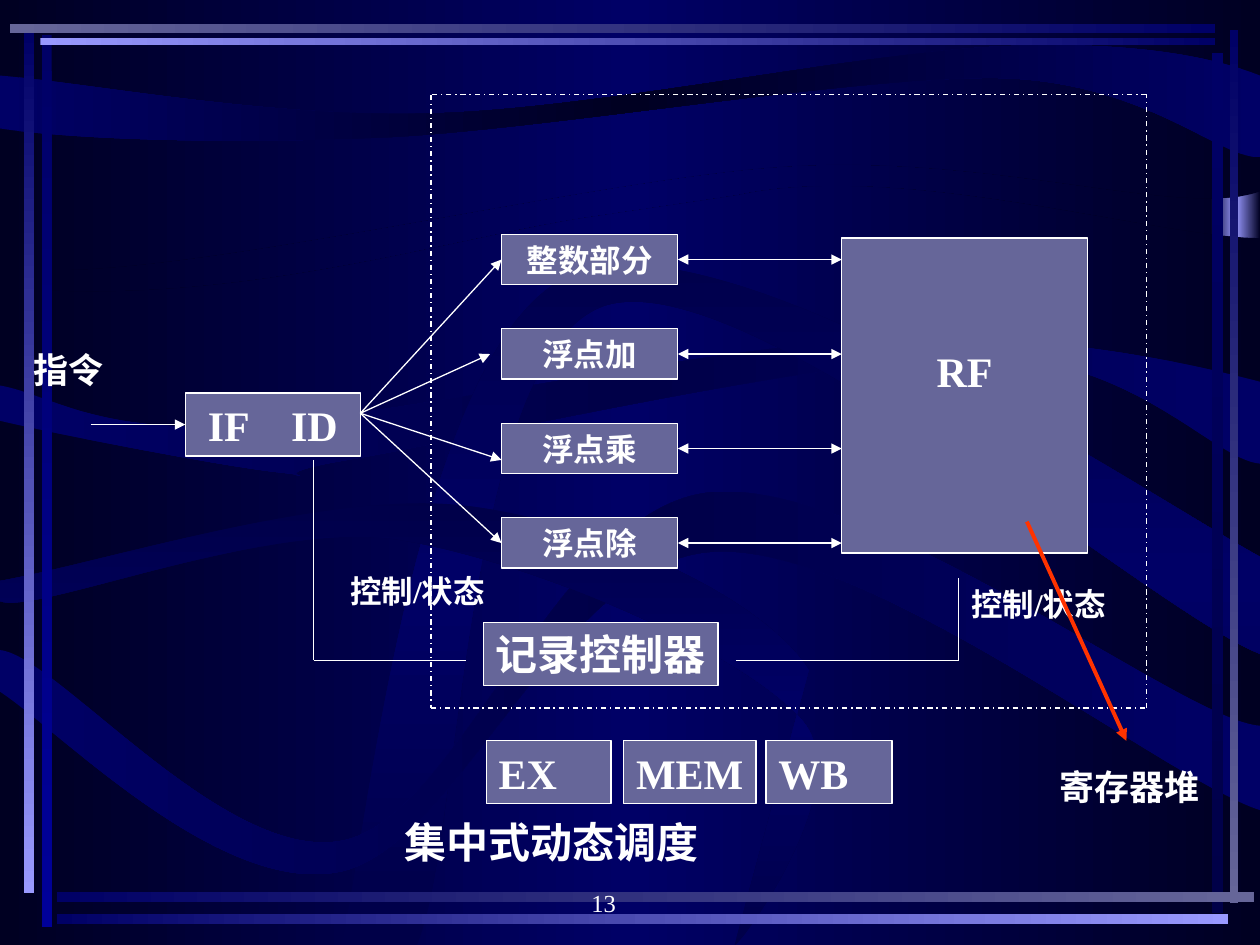
from lxml import etree
from pptx import Presentation
from pptx.dml.color import RGBColor
from pptx.enum.dml import MSO_LINE
from pptx.enum.shapes import MSO_CONNECTOR, MSO_SHAPE
from pptx.enum.text import MSO_ANCHOR, PP_ALIGN
from pptx.oxml.ns import qn
from pptx.util import Inches, Pt

WHITE = RGBColor(0xFF, 0xFF, 0xFF)
SLATE = RGBColor(0x66, 0x66, 0x99)
LILAC = RGBColor(0x99, 0x99, 0xFF)
RED = RGBColor(0xFF, 0x33, 0x00)
MIDNIGHT = RGBColor(0x00, 0x00, 0x22)
INDIGO = RGBColor(0x00, 0x00, 0x48)
NAVY = RGBColor(0x00, 0x00, 0x66)
BLUE = RGBColor(0x00, 0x00, 0x99)
FONT = "Times New Roman"

LEFT, RIGHT = 1, 3
ACROSS, DOWN = 0, 270

GLOW = (MIDNIGHT, NAVY, MIDNIGHT)
RIBBON = (NAVY, INDIGO, NAVY)
SWIRL = (INDIGO, NAVY, INDIGO)

# Each wave: colours, direction, then points; six numbers make a Bezier curve.
WAVES = [
    (GLOW, ACROSS, [(0, 0), (10, 0), (10, 1.52), (9.38, 1.74, 7.92, 1.22, 6.25, 1.32),
                    (4.58, 1.42, 1.04, 2.33, 0, 2.11)]),
    (GLOW, ACROSS, [(0, 2.28), (1.78, 2.45, 3.4, 1.94, 4.58, 1.74),
                    (4.58, 1.74, 5.67, 1.58, 5.86, 1.55),
                    (7.15, 1.27, 9.17, 1.89, 10, 1.89), (10, 7.5), (0, 7.5)]),
    ((NAVY, MIDNIGHT, NAVY), ACROSS,
     [(0, 0.6), (0, 1.02), (0.51, 1.1, 1.76, 1.15, 3.08, 1.09),
      (4.4, 1.02, 6.79, 0.6, 7.94, 0.62), (9.09, 0.65, 9.66, 1.25, 10, 1.25),
      (10, 0.6), (9.65, 0.46, 9.01, 0.32, 7.92, 0.37),
      (6.82, 0.42, 4.77, 0.86, 3.45, 0.9), (2.13, 0.94, 0.72, 0.66, 0, 0.6)]),
    (RIBBON, ACROSS,
     [(0, 3.06), (0, 3.34), (0.37, 3.43, 1.75, 3.7, 2.22, 3.75),
      (2.69, 3.8, 1.9, 3.79, 2.82, 3.64), (3.75, 3.48, 6.6, 2.82, 7.8, 2.83),
      (9, 2.83, 9.63, 3.65, 10, 3.68), (10, 3.03), (9.5, 2.9, 8.36, 2.63, 7.01, 2.69),
      (5.66, 2.74, 3.07, 3.32, 1.9, 3.38), (0.73, 3.44, 0.4, 3.13, 0, 3.06)]),
    (SWIRL, DOWN,
     [(2.71, 7.5), (2.91, 6.61, 3.32, 2.69, 4.54, 2.18), (5.75, 1.66, 9.09, 3.92, 10, 4.42),
      (10, 5.19), (9.13, 4.85, 5.91, 2.05, 4.79, 2.43), (3.68, 2.82, 3.66, 6.66, 3.31, 7.5)]),
    (RIBBON, ACROSS,
     [(0, 5.16), (0, 5.49), (0.45, 5.78, 1.74, 7.11, 2.69, 6.92),
      (3.63, 6.74, 4.43, 4.46, 5.65, 4.38), (6.87, 4.29, 9.27, 6.2, 10, 6.43),
      (10, 5.76), (9.38, 5.72, 6.91, 3.77, 5.62, 3.91),
      (4.41, 4.06, 3.67, 6.46, 2.73, 6.67), (1.79, 6.87, 0.45, 5.2, 0, 5.16)]),
    (SWIRL, DOWN,
     [(0, 4.61), (0, 4.77), (0.26, 4.89, 2.08, 4.13, 3.14, 4.28),
      (4.2, 4.44, 5.92, 5.18, 6.37, 5.72), (6.82, 6.25, 5.82, 7.57, 5.83, 7.5),
      (6.42, 5.32), (6.06, 4.74, 4.73, 4.13, 3.66, 4.01), (2.59, 3.89, 0.76, 4.48, 0, 4.61)]),
]

FRAME_BARS = [
    (0.33, 0.28, 0.08, 7.08, (NAVY, BLUE)),
    (0.19, 0.25, 0.08, 6.84, (NAVY, LILAC)),
    (9.76, 0.24, 0.07, 6.93, (NAVY, SLATE)),
    (9.62, 0.42, 0.09, 6.83, (NAVY, INDIGO)),
    (0.45, 7.08, 9.5, 0.08, (NAVY, SLATE)),
    (0.45, 7.25, 9.3, 0.08, (NAVY, LILAC)),
    (0.32, 0.3, 9.32, 0.06, (LILAC, NAVY)),
    (0.08, 0.19, 9.56, 0.07, (SLATE, NAVY)),
]


def set_gradient(fill, element, colors, direction):
    """Fill with evenly spaced colour stops; element holds the fill."""
    fill.gradient()
    fill.gradient_angle = direction
    stops = next(element.iter(qn("a:gsLst")))
    for stop in list(stops):
        stops.remove(stop)
    for index, color in enumerate(colors):
        position = str(100000 * index // (len(colors) - 1))
        stop = etree.SubElement(stops, qn("a:gs"), pos=position)
        etree.SubElement(stop, qn("a:srgbClr"), val=str(color))


def add_gradient_bar(slide, left, top, width, height, colors, direction):
    bar = slide.shapes.add_shape(MSO_SHAPE.RECTANGLE, Inches(left), Inches(top),
                                 Inches(width), Inches(height))
    bar.shadow.inherit = False
    bar.line.fill.background()
    set_gradient(bar.fill, bar.element, colors, direction)


def bend_segments(freeform, segments):
    """Merge the three lines drawn for each six-number segment into one curve."""
    lines = iter(list(freeform.element.iter(qn("a:lnTo"))))
    for segment in segments:
        line = next(lines)
        if len(segment) == 6:
            line.addprevious(curve := etree.Element(qn("a:cubicBezTo")))
            for part in (line, next(lines), next(lines)):
                curve.append(part[0])
                part.getparent().remove(part)


def add_wave(slide, colors, direction, segments):
    outline = [(Inches(segment[i]), Inches(segment[i + 1]))
               for segment in segments for i in range(0, len(segment), 2)]
    builder = slide.shapes.build_freeform(*outline[0])
    builder.add_line_segments(outline[1:], close=True)
    wave = builder.convert_to_shape()
    bend_segments(wave, segments[1:])
    wave.shadow.inherit = False
    wave.line.fill.background()
    set_gradient(wave.fill, wave.element, colors, direction)


def write_text(shape, text, *, size=24, bold=True, align=PP_ALIGN.LEFT,
               anchor=MSO_ANCHOR.TOP, wrap=True, inset_left=0.1, inset_bottom=0.05, tab=None):
    frame = shape.text_frame
    frame.word_wrap = wrap
    frame.vertical_anchor = anchor
    frame.margin_left, frame.margin_right = Inches(inset_left), Inches(0.1)
    frame.margin_top, frame.margin_bottom = Inches(0.05), Inches(inset_bottom)
    paragraph = frame.paragraphs[0]
    paragraph.alignment = align
    if tab:
        tabs = etree.SubElement(paragraph._p.get_or_add_pPr(), qn("a:tabLst"))
        etree.SubElement(tabs, qn("a:tab"), pos=str(Inches(tab)), algn="l")
    run = paragraph.add_run()
    run.text = text
    run.font.name, run.font.size, run.font.bold = FONT, Pt(size), bold
    run.font.color.rgb = WHITE


def add_box(slide, text, left, top, width, height, **text_format):
    box = slide.shapes.add_shape(MSO_SHAPE.RECTANGLE, Inches(left), Inches(top),
                                 Inches(width), Inches(height))
    box.shadow.inherit = False
    box.fill.solid()
    box.fill.fore_color.rgb = SLATE
    box.line.color.rgb = WHITE
    box.line.width = Pt(0.75)
    write_text(box, text, **{"align": PP_ALIGN.CENTER, "anchor": MSO_ANCHOR.MIDDLE,
                             **text_format})
    return box


def add_label(slide, text, left, top, width, height, **text_format):
    label = slide.shapes.add_textbox(Inches(left), Inches(top), Inches(width), Inches(height))
    write_text(label, text, **text_format)


def add_line(slide, start, end, *, color=WHITE, width=0.75, dash=None, arrows=()):
    """Draw a line; arrows names its pointed ends: headEnd, tailEnd."""
    line = slide.shapes.add_connector(MSO_CONNECTOR.STRAIGHT, Inches(start[0]), Inches(start[1]),
                                      Inches(end[0]), Inches(end[1]))
    line.line.color.rgb = color
    line.line.width = Pt(width)
    if dash:
        line.line.dash_style = dash
    for arrow in arrows:
        etree.SubElement(line.line._get_or_add_ln(), qn(f"a:{arrow}"), type="triangle")
    etree.SubElement(line.element.spPr, qn("a:effectLst"))
    return line


def add_backdrop(slide):
    set_gradient(slide.background.fill, slide.element, GLOW, ACROSS)
    add_gradient_bar(slide, 9.61, 0.49, 0.39, 3.45, (MIDNIGHT, LILAC, MIDNIGHT), ACROSS)
    for wave in WAVES:
        add_wave(slide, *wave)
    for left, top, width, height, colors in FRAME_BARS:
        add_gradient_bar(slide, left, top, width, height, colors,
                         ACROSS if width > height else DOWN)


def add_pipeline(slide):
    decoder = add_box(slide, "IF\tID", 1.47, 3.12, 1.39, 0.5, align=PP_ALIGN.LEFT,
                      inset_left=0.18, tab=0.66)
    add_box(slide, "RF", 6.68, 1.89, 1.95, 2.5, inset_bottom=0.44)
    add_line(slide, (0.72, 3.37), (1.47, 3.37), arrows=["tailEnd"]).end_connect(decoder, LEFT)

    names = ["整数部分", "浮点加", "浮点乘", "浮点除"]
    fan_ends = [(3.98, 2.06), (3.89, 2.81), (3.98, 3.65), (3.98, 4.31)]
    for index, (name, fan_end) in enumerate(zip(names, fan_ends)):
        top = 1.86 + 0.75 * index
        middle = top + 0.2
        unit = add_box(slide, name, 3.98, top, 1.4, 0.4, size=18)
        issue = add_line(slide, (2.86, 3.28), fan_end, arrows=["tailEnd"])
        if index in (0, 3):
            issue.end_connect(unit, LEFT)
        access = add_line(slide, (5.38, middle), (6.68, middle), arrows=["headEnd", "tailEnd"])
        access.begin_connect(unit, RIGHT)


def add_control(slide):
    corners = [(3.42, 0.75), (3.42, 5.62), (9.1, 5.62), (9.1, 0.75)]
    for start, end in zip(corners, corners[1:] + corners[:1]):
        add_line(slide, start, end, dash=MSO_LINE.DASH_DOT)
    add_box(slide, "记录控制器", 3.84, 4.94, 1.86, 0.5, wrap=False)
    for route in ([(5.84, 5.24), (7.61, 5.24), (7.61, 4.59)],
                  [(2.49, 3.65), (2.49, 5.24), (3.7, 5.24)]):
        for start, end in zip(route, route[1:]):
            add_line(slide, start, end)
    for text, left, width in (("EX", 3.86, 0.99), ("MEM", 4.95, 1.05), ("WB", 6.08, 1)):
        add_box(slide, text, left, 5.88, width, 0.5, align=PP_ALIGN.LEFT)


def main():
    presentation = Presentation()
    presentation.slide_width, presentation.slide_height = Inches(10), Inches(7.5)
    slide = presentation.slides.add_slide(presentation.slide_layouts[6])
    add_backdrop(slide)
    add_pipeline(slide)
    add_control(slide)
    add_label(slide, "指令", 0.17, 2.72, 0.93, 0.44, size=20)
    for left, top in ((2.68, 4.49), (7.61, 4.59)):
        add_label(slide, "控制/状态", left, top, 1.49, 0.4, size=18)
    add_label(slide, "集中式动态调度", 3.11, 6.43, 4.17, 0.5)
    add_label(slide, "寄存器堆", 8.31, 6.03, 1.31, 0.44, size=20, wrap=False)
    add_line(slide, (8.15, 4.14), (8.94, 5.88), color=RED, width=2.25, arrows=["tailEnd"])
    add_label(slide, "13", 3.75, 6.83, 2.08, 0.5, size=14, bold=False,
              align=PP_ALIGN.CENTER, anchor=MSO_ANCHOR.BOTTOM)
    presentation.save("out.pptx")


if __name__ == "__main__":
    main()
